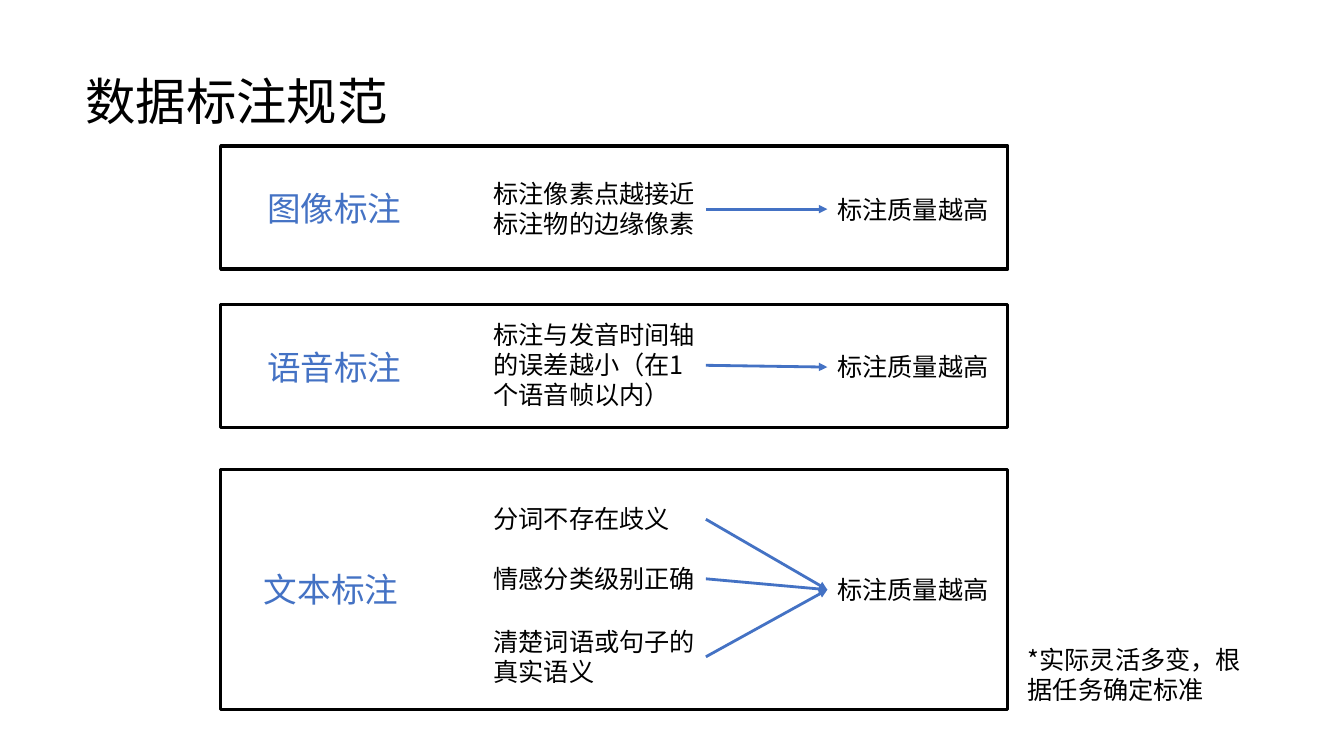
from dataclasses import dataclass

from lxml import etree
from pptx import Presentation
from pptx.dml.color import RGBColor
from pptx.enum import shapes, text
from pptx.oxml import ns
from pptx.shapes.autoshape import Shape
from pptx.slide import Slide
from pptx.util import Cm, Pt

BLACK = RGBColor(0x00, 0x00, 0x00)
BLUE = RGBColor(0x44, 0x72, 0xC4)
FONT = "Noto Sans CJK SC"
RESULT = "标注质量越高"
LINE_HEIGHT = 0.77
PADDING = 0.26


@dataclass
class Criterion:
    words: str
    top: float
    lines: int


@dataclass
class Panel:
    name: str
    top: float
    height: float
    name_left: float
    name_top: float
    result_top: float
    criteria: list[Criterion]


PANELS = [
    Panel("图像标注", 3.68, 3.1, 6.48, 4.62, 4.76,
          [Criterion("标注像素点越接近标注物的边缘像素", 4.37, 2)]),
    Panel("语音标注", 7.67, 3.1, 6.48, 8.61, 8.74,
          [Criterion("标注与发音时间轴的误差越小（在1 个语音帧以内）", 7.92, 3)]),
    Panel("文本标注", 11.84, 6.05, 6.4, 14.22, 14.35,
          [Criterion("分词不存在歧义", 12.57, 1),
           Criterion("情感分类级别正确", 14.07, 1),
           Criterion("清楚词语或句子的真实语义", 15.65, 2)]),
]


def add_text(s: Slide, words: str, left: float, top: float, width: float,
             height: float, size: int = 18, color: RGBColor = BLACK,
             wrap: bool = True) -> Shape:
    sp = s.shapes.add_textbox(Cm(left), Cm(top), Cm(width), Cm(height))
    tf = sp.text_frame
    tf.word_wrap = wrap
    p = tf.paragraphs[0]
    p.text = words
    p.font.name = FONT
    p.font.size = Pt(size)
    p.font.color.rgb = color
    latin = p._p.pPr.find(".//" + ns.qn("a:latin"))
    east_asian = etree.Element(ns.qn("a:ea"), typeface=FONT)
    latin.addnext(east_asian)
    return sp


def add_arrow(s: Slide, start: Shape, end: Shape) -> None:
    arrow = s.shapes.add_connector(shapes.MSO_CONNECTOR.STRAIGHT, 0, 0, 0, 0)
    arrow.begin_connect(start, 3)
    arrow.end_connect(end, 1)
    arrow.line.color.rgb = BLUE
    arrow.line.width = Pt(2)
    etree.SubElement(arrow.line._get_or_add_ln(), ns.qn("a:tailEnd"), type="triangle")
    etree.SubElement(arrow._element.spPr, ns.qn("a:effectLst"))


def add_panel(s: Slide, panel: Panel) -> None:
    frame = s.shapes.add_shape(shapes.MSO_SHAPE.RECTANGLE, Cm(5.56), Cm(panel.top),
                               Cm(19.84), Cm(panel.height))
    frame.shadow.inherit = False
    frame.fill.background()
    frame.line.color.rgb = BLACK
    frame.line.width = Pt(2.25)
    add_text(s, panel.name, panel.name_left, panel.name_top, 4.7, 1.27, 24, BLUE)
    result = add_text(s, RESULT, 20.85, panel.result_top, 4.37, 1.02, wrap=False)
    for criterion in panel.criteria:
        height = criterion.lines * LINE_HEIGHT + PADDING
        sp = add_text(s, criterion.words, 12.19, criterion.top, 5.6, height)
        add_arrow(s, sp, result)


def main() -> None:
    prs = Presentation()
    prs.slide_width = Cm(33.87)
    prs.slide_height = Cm(19.05)
    s = prs.slides.add_slide(prs.slide_layouts[6])
    title = add_text(s, "数据标注规范", 1.9, 1.6, 10.57, 2.06, 36)
    title.text_frame.vertical_anchor = text.MSO_ANCHOR.MIDDLE
    title.text_frame.paragraphs[0].line_spacing = 0.9
    for panel in PANELS:
        add_panel(s, panel)
    add_text(s, "*实际灵活多变，根据任务确定标准", 25.65, 16.1, 5.94, 1.8)
    prs.save("out.pptx")


if __name__ == "__main__":
    main()
